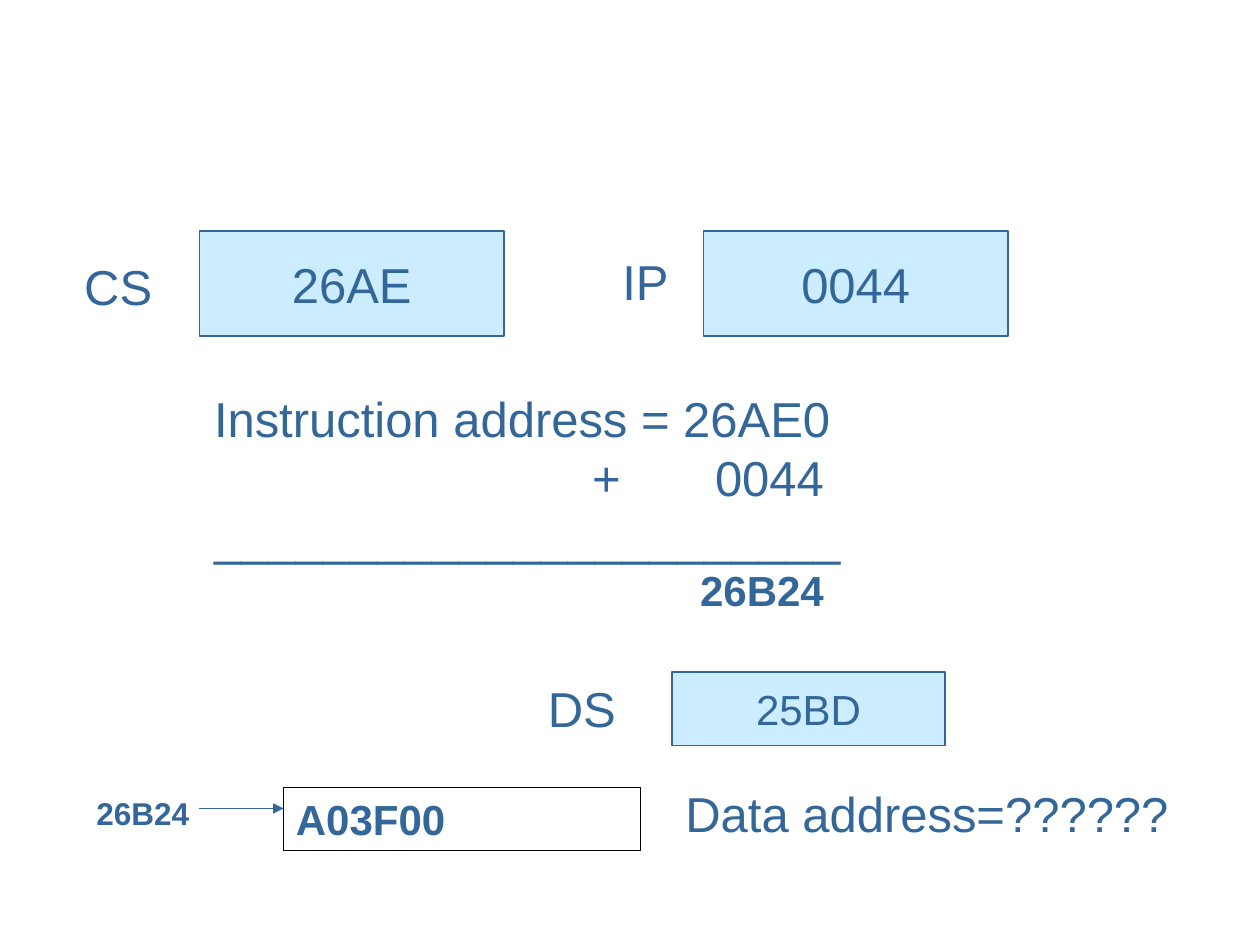
from pptx import Presentation
from pptx.dml.color import RGBColor
from pptx.enum.shapes import MSO_CONNECTOR as Connector, MSO_SHAPE as Shape
from pptx.enum.text import MSO_ANCHOR as Anchor, PP_ALIGN as Align
from pptx.oxml.ns import qn
from pptx.util import Inches, Pt
from lxml.etree import SubElement

INK, PALE, BLACK = "336699", "CCECFF", "000000"
CELL = Inches(1) / 12


def color(target, value):
    target.solid()
    target.fore_color.rgb = RGBColor.from_string(value)


def write(box, lines, align, anchor):
    frame = box.text_frame
    frame.word_wrap = True
    frame.vertical_anchor = anchor
    for index, (text, size, bold) in enumerate(lines):
        para = frame.paragraphs[0] if index == 0 else frame.add_paragraph()
        para.alignment = align
        if "\t" in text:
            tabs = SubElement(para._p.get_or_add_pPr(), qn("a:tabLst"))
            for place, side in ((3, "l"), (4.84, "r")):
                SubElement(tabs, qn("a:tab"), pos=str(Inches(place)), algn=side)
        span = para.add_run()
        span.text = text
        for name, value in {"name": "Arial", "size": Pt(size), "bold": bold}.items():
            setattr(span.font, name, value)
        color(span.font.fill, INK)


deck = Presentation()
deck.slide_width, deck.slide_height = Inches(10), Inches(7.5)
page = deck.slides.add_slide(deck.slide_layouts[6])

registers = [
    ("26AE", 28, 19, 22, 29, 10),
    ("0044", 28, 67, 22, 29, 10),
    ("25BD", 24, 64, 64, 26, 7),
    ("A03F00", 24, 27, 75, 34, 6),
]
for text, size, *cells in registers:
    box = page.shapes.add_shape(Shape.RECTANGLE, *(int(n * CELL) for n in cells))
    box.shadow.inherit = False
    box.line.width = Pt(0.75)
    memory = text == "A03F00"
    color(box.line.fill, BLACK if memory else INK)
    if memory:
        box.fill.background()
        write(box, [(text, size, True)], Align.LEFT, Anchor.TOP)
    else:
        color(box.fill, PALE)
        write(box, [(text, size, False)], Align.CENTER, Anchor.MIDDLE)

addition = [
    ("Instruction address = 26AE0", 28, False),
    ("\t+\t0044", 28, False),
    ("_" * 23, 28, False),
    ("\t\t26B24", 24, True),
]
labels = [
    ([("CS", 28, False)], 6.84, 23.8, 9.2, 6.84),
    ([("IP", 28, False)], 58.1, 23.4, 7.2, 6.84),
    (addition, 19.2, 36.4, 63, 23.6),
    ([("DS", 28, False)], 51, 64, 9.2, 6.84),
    ([("26B24", 18, True)], 8, 75, 11.5, 4.8),
    ([("Data address=??????", 28, False)], 64.1, 74, 49, 6.84),
]
for lines, *cells in labels:
    box = page.shapes.add_textbox(*(int(n * CELL) for n in cells))
    write(box, lines, Align.LEFT, Anchor.TOP)

arrow = page.shapes.add_connector(
    Connector.STRAIGHT, *(int(n * CELL) for n in (19, 77, 27, 77))
)
arrow.line.width = Pt(0.75)
color(arrow.line.fill, INK)
SubElement(arrow.line._get_or_add_ln(), qn("a:tailEnd"), type="triangle")
SubElement(arrow._element.spPr, qn("a:effectLst"))

deck.save("out.pptx")
